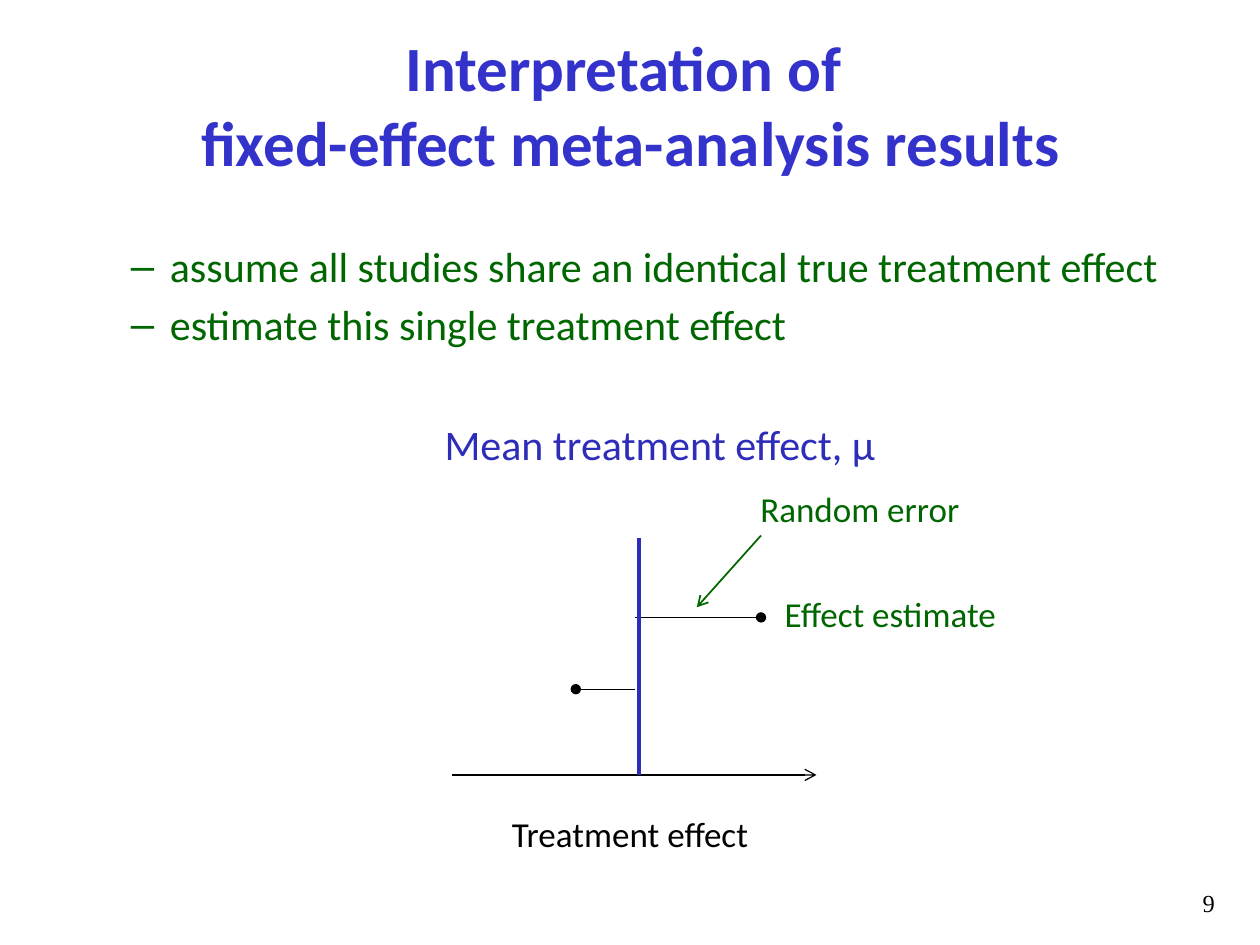
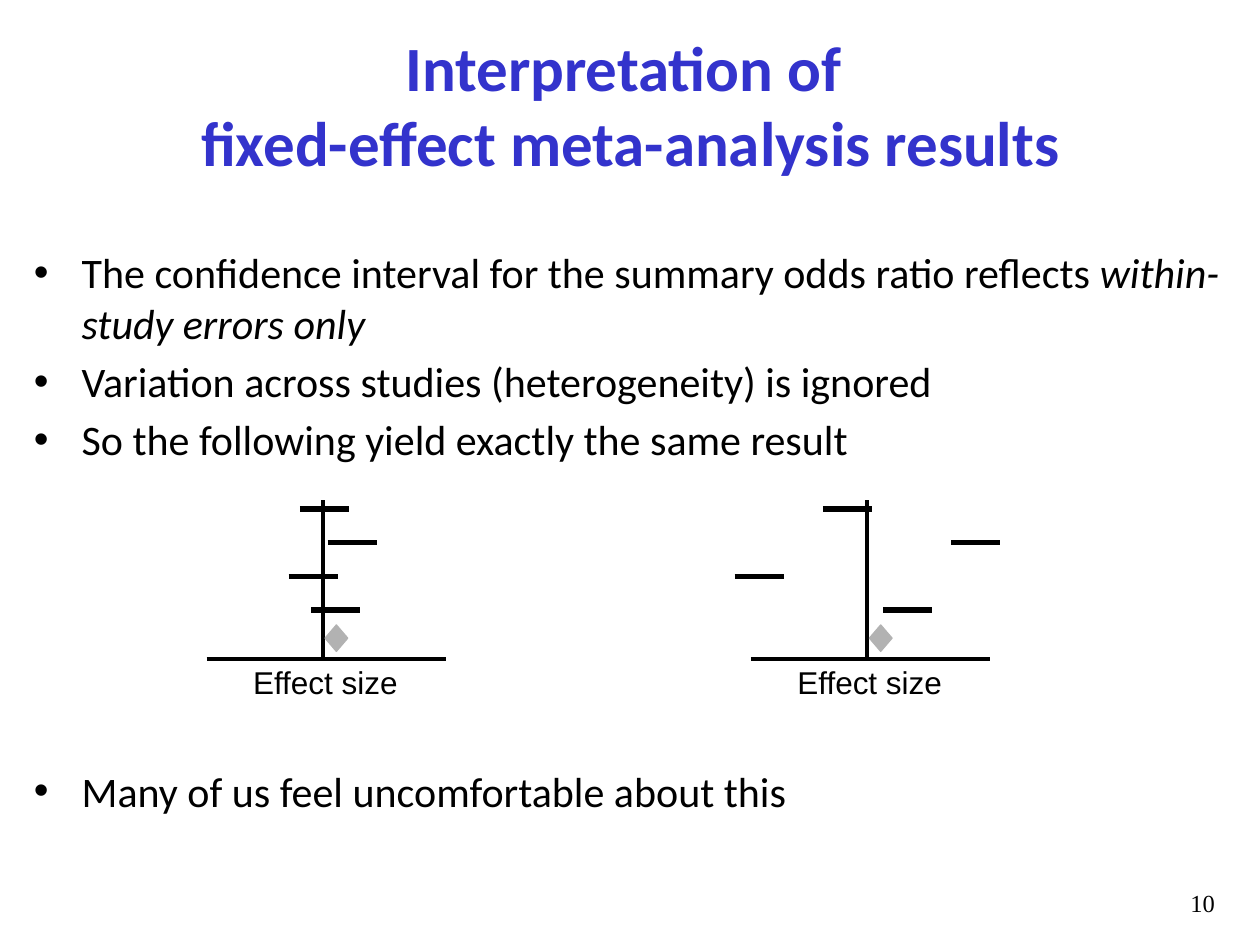
from lxml import etree
from pptx import Presentation
from pptx import util as u
from pptx.dml.color import RGBColor
from pptx.enum import shapes, text
from pptx.oxml.ns import qn

HUES = {"title": "3333CC", "mean": "2D2DB9", "green": "006600",
        "ink": "000000", "grey": "B2B2B2"}
LEFT, MID, RIGHT = text.PP_ALIGN.LEFT, text.PP_ALIGN.CENTER, text.PP_ALIGN.RIGHT

deck = Presentation()
deck.slide_width, deck.slide_height = u.Inches(10), u.Inches(7.5)
CELL = deck.slide_width // 100


def put(host, box, words, size, hue, face="Calibri", side=LEFT, mark=None, dent=(0, 0)):
    item = host.add_textbox(*[round(CELL * n) for n in box])
    frame = item.text_frame
    frame.word_wrap = True
    frame.text = words
    for n, para in enumerate(frame.paragraphs):
        para.alignment = side
        if n:
            para.space_before = u.Pt(4.5)
        if mark:
            props = para._p.get_or_add_pPr()
            props.set("marL", str(round(CELL * dent[0])))
            props.set("indent", str(round(-CELL * dent[1])))
            etree.SubElement(props, qn("a:buFont")).set("typeface", "Arial")
            etree.SubElement(props, qn("a:buChar")).set("char", mark)
        for run in para.runs:
            run.font.size, run.font.name = u.Pt(size), face
            run.font.color.rgb = RGBColor.from_string(HUES[hue])
    return frame


def rule(host, ends, width, hue="ink", tip=None):
    item = host.add_connector(shapes.MSO_CONNECTOR.STRAIGHT, *[round(CELL * n) for n in ends])
    item.line.width = u.Pt(width)
    item.line.color.rgb = RGBColor.from_string(HUES[hue])
    if tip:
        etree.SubElement(item.line._get_or_add_ln(), qn("a:tailEnd")).set("type", tip)
    etree.SubElement(item._element.spPr, qn("a:effectLst"))


pages = []
for num in (9, 10):
    page = deck.slides.add_slide(deck.slide_layouts[6]).shapes
    put(page, (84, 70, 13.4, 5), str(num), 14, "ink", "Times New Roman", RIGHT)
    head = put(page, (1.7, 2, 96.7, 12.5),
               "Interpretation of \vfixed-effect meta-analysis results", 36, "title", side=MID)
    head.vertical_anchor = text.MSO_ANCHOR.MIDDLE
    for run in head.paragraphs[0].runs:
        run.font.bold = True
    pages.append(page)
model, same = pages

put(model, (4.4, 18.6, 91.2, 15.7),
    "assume all studies share an identical true treatment effect\n"
    "estimate this single treatment effect", 24, "green", mark="–", dent=(8.1, 3.1))

error = model.add_group_shape().shapes
put(error, (59.1, 38.2, 18.3, 4.4), "Random error", 20, "green", side=MID)
rule(error, (60.4, 42.5, 55.3, 48.2), 1, "green", "arrow")

guess = model.add_group_shape().shapes
put(guess, (61.3, 46.5, 22, 4.3), "Effect estimate", 20, "green")
rule(guess, (50.4, 49, 60.4, 49), 0.75, tip="oval")

rule(model, (35.9, 61.5, 64.8, 61.5), 0.75, tip="arrow")
put(model, (33.6, 64, 32.8, 4.4), "Treatment effect", 20, "ink", side=MID)

mean = model.add_group_shape().shapes
rule(mean, (50.7, 42.7, 50.7, 61.5), 2.25, "mean")
label = put(mean, (34.3, 32.7, 36.6, 3), "Mean treatment effect, μ", 24, "mean")
label.word_wrap = False
rule(model, (50.4, 54.7, 45.7, 54.7), 0.75, tip="oval")

body = put(same, (1.7, 19.1, 96.7, 50.6),
           "The confidence interval for the summary odds ratio reflects \n"
           "Variation across studies (heterogeneity) is ignored\n"
           "So the following yield exactly the same result\n"
           "Many of us feel uncomfortable about this", 24, "ink", mark="•", dent=(3.8, 3.8))
body.paragraphs[3].space_before = u.Pt(172)
stress = body.paragraphs[0].add_run()
stress.text = "within-study errors only"
stress.font.size, stress.font.name, stress.font.italic = u.Pt(24), "Calibri", True
stress.font.color.rgb = RGBColor.from_string(HUES["ink"])

BASE, TOP, ROW, SPAN = 52.3, 40.4, 2.67, 3.9
for axis, shifts in ((25.6, (-1.8, 0.4, -2.7, -0.9)), (68.8, (-3.5, 6.7, -10.5, 1.3))):
    plot = same.add_group_shape().shapes
    rule(plot, (axis, BASE, axis, 39.7), 2.25)
    rule(plot, (axis - 9.2, BASE, axis + 9.8, BASE), 2.25)
    put(plot, (axis - 6.5, 52.1, 13.9, 4), "Effect size", 18, "ink", "Arial")
    for row, shift in enumerate(shifts):
        start, high = axis + shift, TOP + row * ROW
        rule(plot, (start, high, start + SPAN, high), 3)
    gem = plot.add_shape(shapes.MSO_SHAPE.DIAMOND,
                         *[round(CELL * n) for n in (axis + 0.2, 49.6, 1.8, 2.1)])
    gem.shadow.inherit = False
    gem.fill.solid()
    gem.fill.fore_color.rgb = gem.line.color.rgb = RGBColor.from_string(HUES["grey"])
    gem.line.width = u.Pt(0.75)

deck.save("out.pptx")
